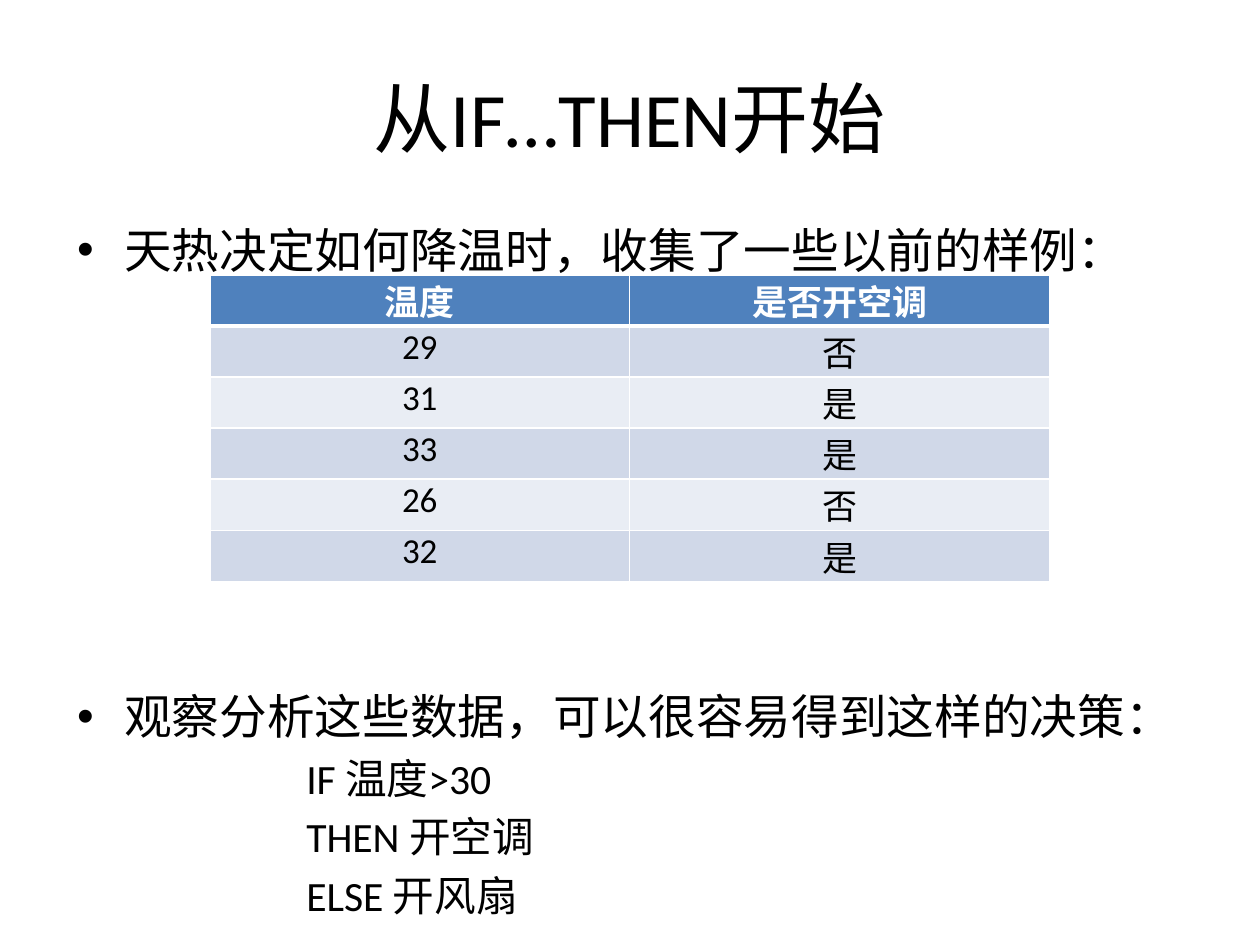
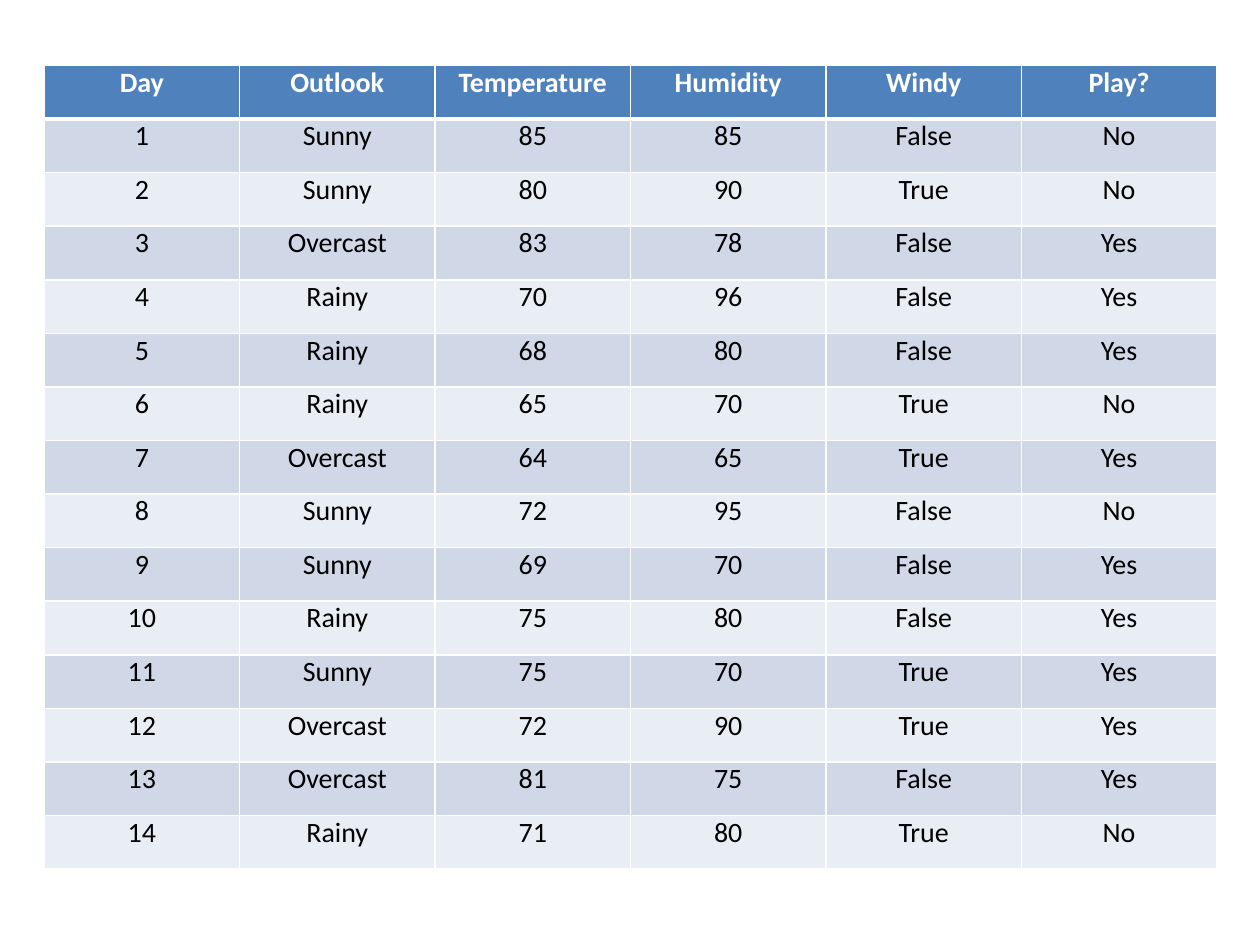
from lxml.etree import SubElement
from pptx import Presentation
from pptx.dml.color import RGBColor
from pptx.enum.text import MSO_ANCHOR, MSO_AUTO_SIZE, PP_ALIGN
from pptx.oxml.ns import qn
from pptx.util import Cm, Pt

# Shared look
FONT = "Calibri"
BLACK = RGBColor(0x00, 0x00, 0x00)
WHITE = RGBColor(0xFF, 0xFF, 0xFF)
HEADER_BLUE = RGBColor(0x4F, 0x81, 0xBD)
BANDS = (RGBColor(0xD0, 0xD8, 0xE8), RGBColor(0xE9, 0xED, 0xF4))
TITLE_AND_CONTENT, BLANK = 1, 6

# Slide content
COOLING_SAMPLES = [
    ("温度", "是否开空调"),
    (29, "否"),
    (31, "是"),
    (33, "是"),
    (26, "否"),
    (32, "是"),
]
RULE_LINES = ("IF 温度>30", "THEN 开空调", "ELSE 开风扇")
WEATHER_SAMPLES = [
    ("Day", "Outlook", "Temperature", "Humidity", "Windy", "Play?"),
    (1, "Sunny", 85, 85, False, "No"),
    (2, "Sunny", 80, 90, True, "No"),
    (3, "Overcast", 83, 78, False, "Yes"),
    (4, "Rainy", 70, 96, False, "Yes"),
    (5, "Rainy", 68, 80, False, "Yes"),
    (6, "Rainy", 65, 70, True, "No"),
    (7, "Overcast", 64, 65, True, "Yes"),
    (8, "Sunny", 72, 95, False, "No"),
    (9, "Sunny", 69, 70, False, "Yes"),
    (10, "Rainy", 75, 80, False, "Yes"),
    (11, "Sunny", 75, 70, True, "Yes"),
    (12, "Overcast", 72, 90, True, "Yes"),
    (13, "Overcast", 81, 75, False, "Yes"),
    (14, "Rainy", 71, 80, True, "No"),
]


def place(shape, left, top, width, height):
    shape.left, shape.top = Cm(left), Cm(top)
    shape.width, shape.height = Cm(width), Cm(height)


def style_paragraph(paragraph, size, color=BLACK, bold=False):
    font = paragraph.font
    font.name, font.size, font.bold = FONT, Pt(size), bold
    font.color.rgb = color


def set_title(slide, text):
    title = slide.shapes.title
    place(title, 1.27, 0.76, 22.86, 3.18)
    title.text_frame.text = text
    title.text_frame.vertical_anchor = MSO_ANCHOR.MIDDLE
    paragraph = title.text_frame.paragraphs[0]
    paragraph.alignment = PP_ALIGN.CENTER
    style_paragraph(paragraph, 44)


def add_list_line(text_frame, text, size, space_before, margin, bullet):
    """Fill the first empty paragraph, or append one, as a list line."""
    paragraph = text_frame.paragraphs[0]
    if paragraph.text:
        paragraph = text_frame.add_paragraph()
    paragraph.text = text
    paragraph.level = 0 if bullet else 1
    paragraph.line_spacing = Pt(round(size * 1.2, 1))
    paragraph.space_before = Pt(space_before)
    properties = paragraph._p.get_or_add_pPr()
    properties.set("marL", str(Cm(margin)))
    properties.set("indent", str(-Cm(margin) if bullet else 0))
    if bullet:
        SubElement(properties, qn("a:buChar"), char="•")
    else:
        SubElement(properties, qn("a:buNone"))
    style_paragraph(paragraph, size)


def set_border(cell, side, width):
    line = SubElement(cell._tc.get_or_add_tcPr(), qn(f"a:{side}"), w=str(Pt(width)))
    fill = SubElement(line, qn("a:solidFill"))
    SubElement(fill, qn("a:srgbClr"), val=str(WHITE))


def format_cell(cell, value, size, row_index):
    is_header = row_index == 0
    cell.margin_left = cell.margin_right = Cm(0.19)
    cell.margin_top = cell.margin_bottom = 0
    cell.text = str(value)
    paragraph = cell.text_frame.paragraphs[0]
    paragraph.alignment = PP_ALIGN.CENTER
    style_paragraph(paragraph, size, WHITE if is_header else BLACK, is_header)
    # Borders come before the fill in the cell properties
    for side in ("lnL", "lnR", "lnT", "lnB"):
        thick = (is_header and side == "lnB") or (row_index == 1 and side == "lnT")
        set_border(cell, side, 3 if thick else 1)
    cell.fill.solid()
    cell.fill.fore_color.rgb = HEADER_BLUE if is_header else BANDS[(row_index - 1) % 2]


def add_data_table(slide, rows, left, top, width, row_height, size):
    table = slide.shapes.add_table(
        len(rows), len(rows[0]), Cm(left), Cm(top), Cm(width), Cm(row_height * len(rows))
    ).table
    for row_index, values in enumerate(rows):
        for column_index, value in enumerate(values):
            format_cell(table.cell(row_index, column_index), value, size, row_index)


def build_rule_slide(presentation):
    slide = presentation.slides.add_slide(presentation.slide_layouts[TITLE_AND_CONTENT])
    set_title(slide, "从IF…THEN开始")

    # Bullets, with room for the table between them
    body = slide.placeholders[1]
    place(body, 1.3, 4.32, 22.86, 12.57)
    text_frame = body.text_frame
    text_frame.auto_size = MSO_AUTO_SIZE.NONE
    add_list_line(text_frame, "天热决定如何降温时，收集了一些以前的样例：", 27.2, 2, 0.95, True)
    add_list_line(text_frame, "观察分析这些数据，可以很容易得到这样的决策：", 27.2, 234, 0.95, True)
    for line in RULE_LINES:
        add_list_line(text_frame, line, 23.8, 4.8, 4.62, False)

    add_data_table(slide, COOLING_SAMPLES, 4.23, 5.54, 16.93, 1.03, 20)


def build_weather_slide(presentation):
    slide = presentation.slides.add_slide(presentation.slide_layouts[BLANK])
    add_data_table(slide, WEATHER_SAMPLES, 0.89, 1.32, 23.64, 1.08, 16)


def main():
    presentation = Presentation()
    presentation.slide_width, presentation.slide_height = Cm(25.4), Cm(19.05)
    build_rule_slide(presentation)
    build_weather_slide(presentation)
    presentation.save("out.pptx")


main()
